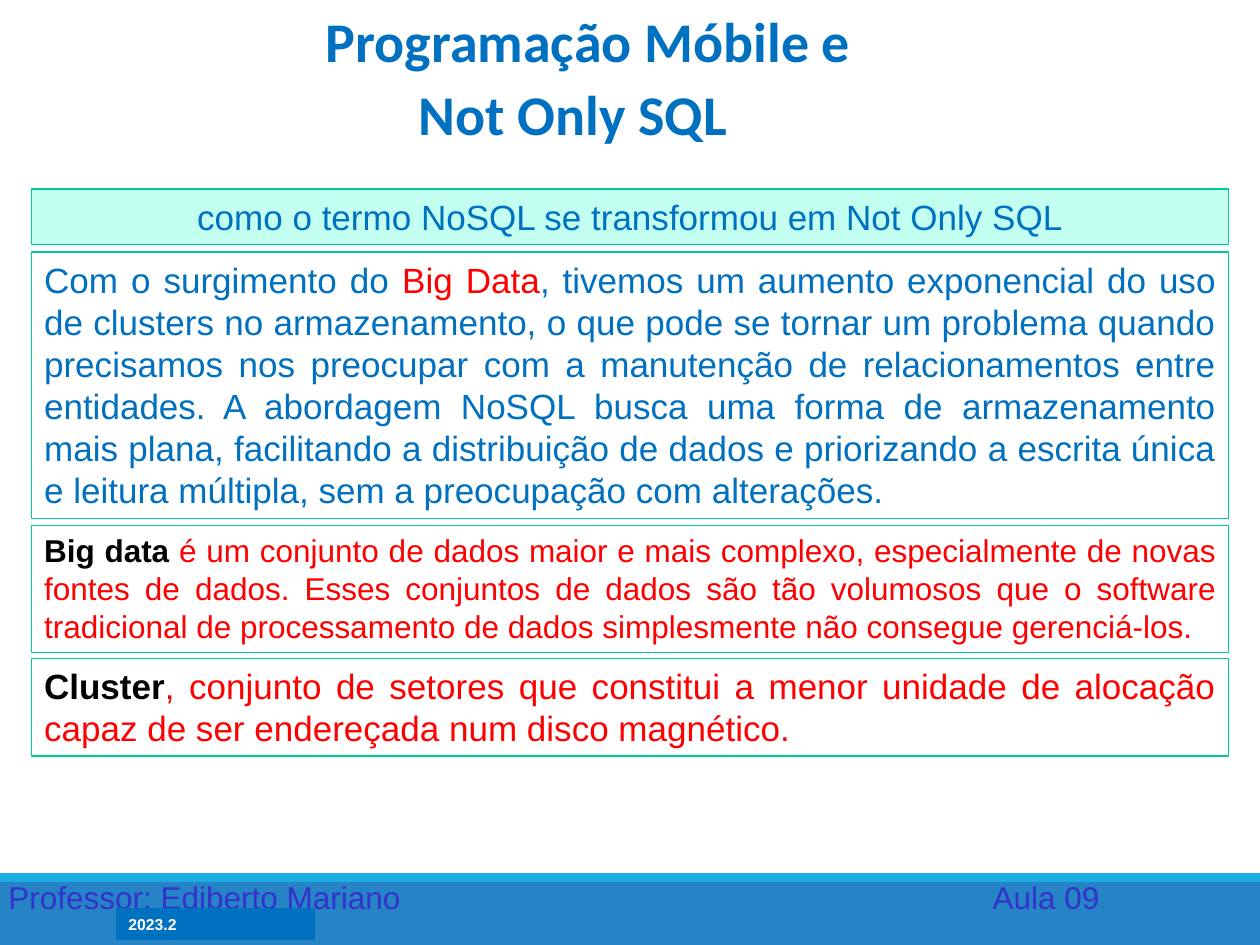
from pptx import Presentation
from pptx.dml.color import RGBColor
from pptx.enum.shapes import MSO_SHAPE
from pptx.enum.text import MSO_ANCHOR, PP_ALIGN
from pptx.util import Cm, Pt

HUES = {
    "bar": "2683C6", "strip": "1CADE4", "blue": "0070C0", "mint": "C2FFF0",
    "edge": "00CC99", "red": "FF0000", "black": "000000", "white": "FFFFFF",
    "foot": "3333CC",
}

deck = Presentation()
deck.slide_width, deck.slide_height = Cm(25.4), Cm(19.05)
slide = deck.slides.add_slide(deck.slide_layouts[6])


def add_box(left, top, width, height, fill=None, edge=None):
    box = slide.shapes.add_shape(
        MSO_SHAPE.RECTANGLE, Cm(left), Cm(top), Cm(width), Cm(height))
    box.shadow.inherit = False
    if fill:
        box.fill.solid()
        box.fill.fore_color.rgb = RGBColor.from_string(HUES[fill])
    else:
        box.fill.background()
    if edge:
        box.line.color.rgb = RGBColor.from_string(HUES[edge])
        box.line.width = Pt(0.75)
    else:
        box.line.fill.background()
    return box


def add_text(box, parts, size, align=PP_ALIGN.LEFT, font="Arial"):
    frame = box.text_frame
    frame.word_wrap = True
    frame.vertical_anchor = MSO_ANCHOR.TOP
    para = frame.paragraphs[0]
    para.alignment = align
    for text, hue, bold in parts:
        run = para.add_run()
        run.text = text
        run.font.name = font
        run.font.size = Pt(size)
        run.font.bold = bold
        run.font.color.rgb = RGBColor.from_string(HUES[hue])


add_box(0, 17.6, 25.4, 1.45, "bar")
add_box(0, 17.6, 25.4, 0.18, "strip")

for text, left, width in [("Professor: Ediberto Mariano", -0.08, 12),
                          ("Aula 09", 19.76, 4)]:
    note = slide.shapes.add_textbox(Cm(left), Cm(17.58), Cm(width), Cm(1.02))
    add_text(note, [(text, "foot", False)], 18)

term = add_box(2.34, 18.31, 4.01, 0.64, "blue")
add_text(term, [("2023.2", "white", True)], 9)

for text, left, top, width in [("Programação Móbile e", 4.62, 0, 14.48),
                               ("Not Only SQL", 1.07, 1.47, 20.96)]:
    title = slide.shapes.add_textbox(Cm(left), Cm(top), Cm(width), Cm(1.63))
    add_text(title, [(text, "blue", True)], 32, PP_ALIGN.CENTER, "Calibri")

panels = [
    (3.81, 1.12, "mint", 20, PP_ALIGN.CENTER, [
        ("como o termo NoSQL se transformou em Not Only SQL", "blue", False)]),
    (5.08, 5.38, None, 20, PP_ALIGN.JUSTIFY, [
        ("Com o surgimento do ", "blue", False),
        ("Big Data", "red", False),
        (", tivemos um aumento exponencial do uso de clusters no "
         "armazenamento, o que pode se tornar um problema quando precisamos "
         "nos preocupar com a manutenção de relacionamentos entre entidades. "
         "A abordagem NoSQL busca uma forma de armazenamento mais plana, "
         "facilitando a distribuição de dados e priorizando a escrita única "
         "e leitura múltipla, sem a preocupação com alterações.",
         "blue", False)]),
    (10.59, 2.57, None, 18, PP_ALIGN.JUSTIFY, [
        ("Big data", "black", True),
        (" é um conjunto de dados maior e mais complexo, especialmente de "
         "novas fontes de dados. Esses conjuntos de dados são tão volumosos "
         "que o software tradicional de processamento de dados simplesmente "
         "não consegue gerenciá-los.", "red", False)]),
    (13.28, 1.96, None, 20, PP_ALIGN.JUSTIFY, [
        ("Cluster", "black", True),
        (", conjunto de setores que constitui a menor unidade de alocação "
         "capaz de ser endereçada num disco magnético.", "red", False)]),
]
for top, height, fill, size, align, parts in panels:
    panel = add_box(0.64, top, 24.13, height, fill, "edge")
    add_text(panel, parts, size, align)

deck.save("out.pptx")
